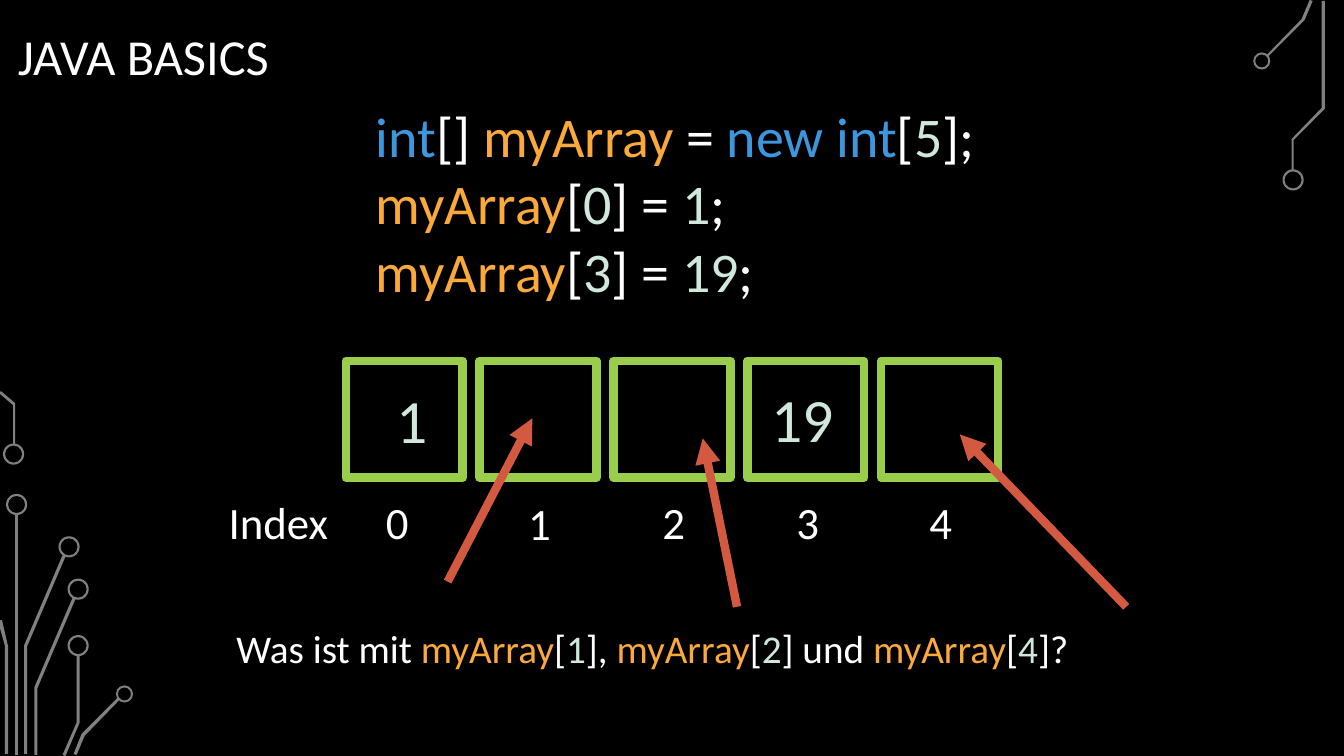
"""Build the Java array basics slide."""
from dataclasses import dataclass, field

from lxml import etree
from pptx import Presentation
from pptx.dml.color import RGBColor
from pptx.enum import shapes, text
from pptx.oxml import ns
from pptx.util import Inches, Pt


@dataclass(frozen=True)
class Theme:
    """Colours and type sizes of the slide."""
    font: str = "Calibri"
    background: str = "000000"
    circuit: str = "808080"
    cell: str = "9ACD4C"
    arrow: str = "D35940"
    plain: str = "FFFFFF"
    keyword: str = "3D97DE"
    name: str = "FAA93A"
    number: str = "D0E7DC"
    title: int = 36
    code: int = 40
    value: int = 44
    index: int = 32
    question: int = 28
    stroke: int = 6


@dataclass(frozen=True)
class Span:
    """A piece of text with its colour."""
    words: str
    color: str


@dataclass(frozen=True)
class Block:
    """A text box with its lines of spans."""
    box: tuple[float, float, float, float]
    size: int
    lines: list[list[Span]]
    frame: dict = field(default_factory=lambda: {"auto_size": text.MSO_AUTO_SIZE.SHAPE_TO_FIT_TEXT})
    para: dict = field(default_factory=dict)


@dataclass(frozen=True)
class Ring:
    """A circuit terminal."""
    left: float
    top: float
    size: float = 0.21


@dataclass(frozen=True)
class Arrow:
    """An arrow that ends in an array cell."""
    start: tuple[float, float]
    end: tuple[float, float]


THEME = Theme()
CENTER = {"alignment": text.PP_ALIGN.CENTER}


def plain(words: str) -> Span:
    """Return a span in the body colour."""
    return Span(words, THEME.plain)


def number(words: str) -> Span:
    """Return a span in the number colour."""
    return Span(words, THEME.number)


def keyword(words: str) -> Span:
    """Return a span in the keyword colour."""
    return Span(words, THEME.keyword)


ARRAY = Span("myArray", THEME.name)


def element(index: int, tail: str) -> list[Span]:
    """Return the spans of an array access and what follows it."""
    return [ARRAY, plain("["), number(str(index)), plain(tail)]


RINGS = [
    Ring(0.03, 4.4), Ring(0.06, 4.9), Ring(0.58, 5.32), Ring(0.67, 5.74),
    Ring(0.67, 6.3), Ring(1.15, 6.8, 0.17), Ring(12.43, 0.52, 0.17), Ring(12.72, 1.68),
]
TRACES = [
    [(0.15, 4.41), (0.13, 4.41), (0.13, 4.02), (-0.01, 3.9), (0.01, 3.88), (0.15, 4)],
    [(0.15, 5.1), (0.18, 5.1), (0.18, 7.49), (0.15, 7.49)],
    [(0.27, 7.48), (0.24, 7.48), (0.24, 6.4), (0.62, 5.51), (0.65, 5.52), (0.27, 6.41)],
    [(0.08, 7.48), (0.05, 7.48), (0.05, 6.41), (-0.02, 6.16), (0.02, 6.15), (0.08, 6.41)],
    [(0.37, 7.49), (0.34, 7.49), (0.34, 6.82), (0.72, 5.93), (0.75, 5.94), (0.37, 6.83)],
    [(0.65, 7.5), (0.62, 7.49), (0.76, 7.17), (0.76, 6.5), (0.79, 6.5), (0.79, 7.17)],
    [(0.76, 7.49), (0.73, 7.48), (0.81, 7.28), (1.17, 6.92), (1.19, 6.94), (0.84, 7.3)],
    [(12.58, 0.56), (12.56, 0.55), (12.91, 0.19), (12.99, 0), (13.02, 0.01), (12.94, 0.2)],
    [(12.83, 1.69), (12.81, 1.69), (12.81, 1.38), (13.11, 1.07), (13.11, 0.01),
     (13.14, 0.01), (13.14, 1.08), (12.83, 1.39)],
]
INDEXES = [("0", 3.73, 4.86), ("1", 5.14, 4.87), ("2", 6.47, 4.86),
           ("3", 7.8, 4.86), ("4", 9.12, 4.86)]
BLOCKS = [
    Block((0.08, 0.18, 7.46, 0.81), THEME.title, [[plain("JAVA BASICS")]],
          {"vertical_anchor": text.MSO_ANCHOR.MIDDLE}, {"line_spacing": 0.9}),
    Block((2.17, 4.86, 1.27, 0.64), THEME.index, [[plain("Index")]]),
    *[Block((x, y, 0.39, 0.64), THEME.index, [[plain(digit)]]) for digit, x, y in INDEXES],
    Block((3.63, 0.96, 7.19, 2.12), THEME.code, [
        [keyword("int"), plain("[] "), ARRAY, plain(" = "), keyword("new int"),
         plain("["), number("5"), plain("];")],
        [*element(0, "] = "), number("1"), plain(";")],
        [*element(3, "] = "), number("19"), plain(";")],
    ]),
    Block((3.83, 3.74, 0.36, 0.84), THEME.value, [[number("1")]], para=CENTER),
    Block((7.41, 3.73, 1.11, 0.84), THEME.value, [[number("19")]], para=CENTER),
    Block((2.08, 6.14, 8.78, 0.57), THEME.question, [
        [plain("Was ist mit "), *element(1, "], "), *element(2, "] und "), *element(4, "]?")],
    ], para=CENTER),
]
ARROWS = [
    Arrow((11.17, 6.02), (9.52, 4.31)),
    Arrow((4.44, 5.77), (5.28, 4.15)),
    Arrow((7.31, 6.02), (6.97, 4.35)),
]


def apply(target: object, values: dict) -> None:
    """Set attributes from a dict of format values."""
    for key, value in values.items():
        setattr(target, key, value)


def paint(sp, color: str) -> None:
    """Fill a circuit part without outline or shadow."""
    sp.shadow.inherit = False
    sp.fill.solid()
    sp.fill.fore_color.rgb = RGBColor.from_string(color)
    sp.line.fill.background()


def stroke(line, color: str) -> None:
    """Give a line the heavy stroke in a colour."""
    line.color.rgb = RGBColor.from_string(color)
    line.width = Pt(THEME.stroke)


def add_trace(s, points: list[tuple[float, float]]) -> None:
    """Draw one circuit trace."""
    start, *rest = [(Inches(x), Inches(y)) for x, y in points]
    builder = s.shapes.build_freeform(*start)
    builder.add_line_segments(rest, close=True)
    paint(builder.convert_to_shape(), THEME.circuit)


def add_ring(s, ring: Ring) -> None:
    """Draw one circuit terminal."""
    box = map(Inches, (ring.left, ring.top, ring.size, ring.size))
    sp = s.shapes.add_shape(shapes.MSO_SHAPE.DONUT, *box)
    sp.adjustments[0] = 0.02 / ring.size
    paint(sp, THEME.circuit)


def add_cells(s, count: int) -> None:
    """Draw the grouped row of array cells."""
    group = s.shapes.add_group_shape()
    for i in range(count):
        box = map(Inches, (3.43 + i * 5.31 / 4, 3.58, 1.16, 1.16))
        sp = group.shapes.add_shape(shapes.MSO_SHAPE.RECTANGLE, *box)
        sp.shadow.inherit = False
        sp.fill.background()
        stroke(sp.line, THEME.cell)


def add_block(s, block: Block) -> None:
    """Draw one text box."""
    tf = s.shapes.add_textbox(*map(Inches, block.box)).text_frame
    apply(tf, {"word_wrap": True, **block.frame})
    for i, spans in enumerate(block.lines):
        p = tf.add_paragraph() if i else tf.paragraphs[0]
        apply(p, block.para)
        for span in spans:
            r = p.add_run()
            r.text = span.words
            apply(r.font, {"name": THEME.font, "size": Pt(block.size)})
            r.font.color.rgb = RGBColor.from_string(span.color)


def add_arrow(s, arrow: Arrow) -> None:
    """Draw one arrow."""
    ends = map(Inches, (*arrow.start, *arrow.end))
    sp = s.shapes.add_connector(shapes.MSO_CONNECTOR.STRAIGHT, *ends)
    stroke(sp.line, THEME.arrow)
    etree.SubElement(sp.line._get_or_add_ln(), ns.qn("a:tailEnd"), type="triangle")
    etree.SubElement(sp._element.spPr, ns.qn("a:effectLst"))


def main() -> None:
    """Build and save the slide."""
    prs = Presentation()
    apply(prs, {"slide_width": Inches(13.33), "slide_height": Inches(7.5)})
    s = prs.slides.add_slide(prs.slide_layouts[6])
    s.background.fill.solid()
    s.background.fill.fore_color.rgb = RGBColor.from_string(THEME.background)
    for trace in TRACES:
        add_trace(s, trace)
    for ring in RINGS:
        add_ring(s, ring)
    add_cells(s, len(INDEXES))
    for block in BLOCKS:
        add_block(s, block)
    for arrow in ARROWS:
        add_arrow(s, arrow)
    prs.save("out.pptx")


if __name__ == "__main__":
    main()
